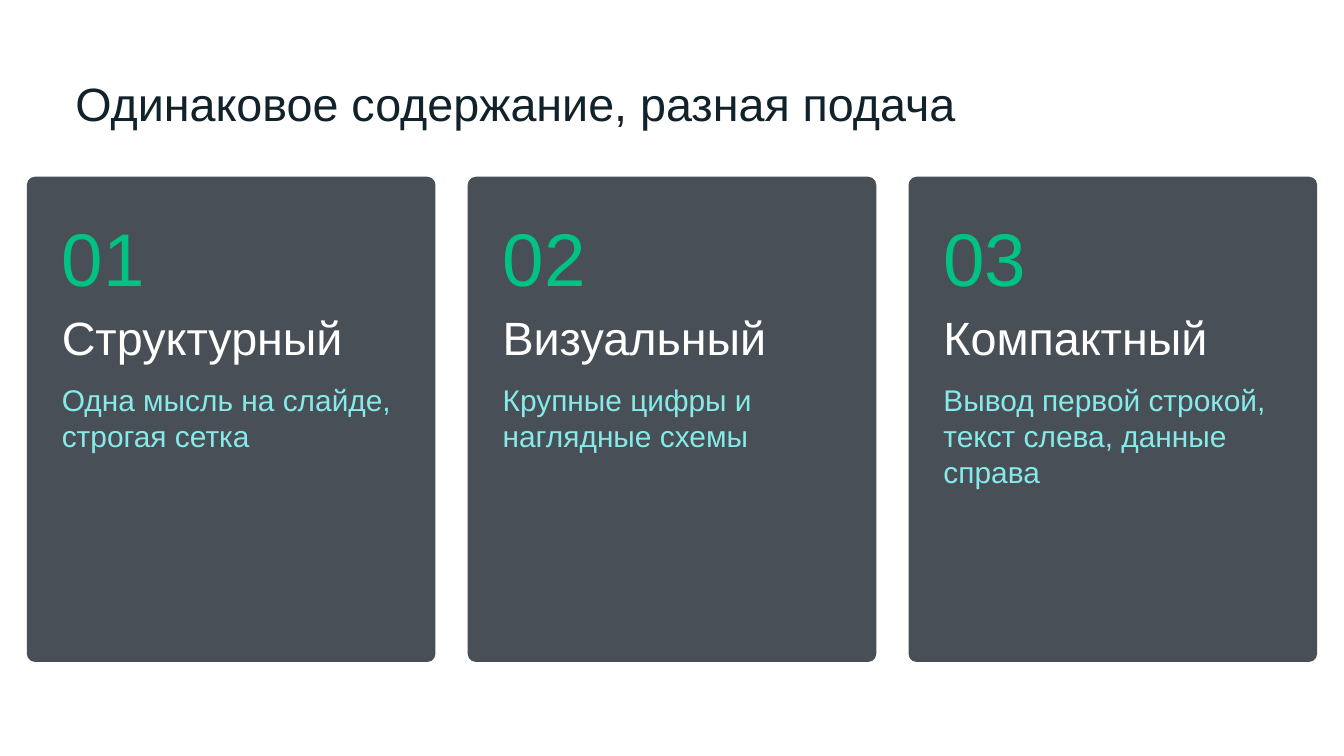
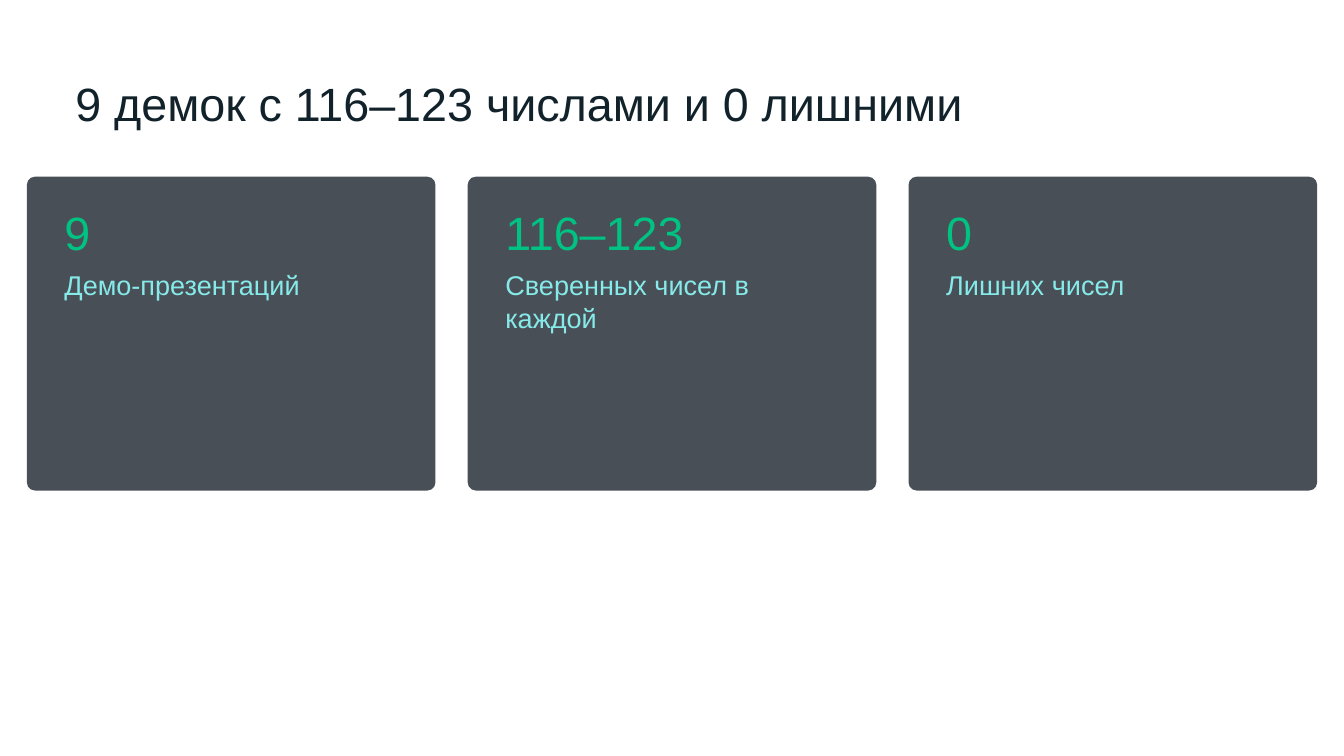
import pptx
import pptx.util
import pptx.dml.color
import pptx.enum.shapes
import pptx.enum.text

Inches = pptx.util.Inches
Pt = pptx.util.Pt
RGBColor = pptx.dml.color.RGBColor
Anchor = pptx.enum.text.MSO_ANCHOR

INK = RGBColor(0x12, 0x22, 0x2B)
SLATE = RGBColor(0x49, 0x4F, 0x56)
GREEN = RGBColor(0x00, 0xC2, 0x82)
AQUA = RGBColor(0x86, 0xEA, 0xE9)
WHITE = RGBColor(0xFF, 0xFF, 0xFF)
FONT = "Arial"

# Grid of three columns, in inches
WIDE, HIGH = 20, 11.25
COLS, EDGE, GAP = 3, 0.4, 0.48
COL = (WIDE - 2 * EDGE - (COLS - 1) * GAP) / COLS
TOP = 2.63
ROUND = 0.12


class Deck:
    """Holds the shared style and the current slide."""

    def __init__(self):
        self.prs = pptx.Presentation()
        self.prs.slide_width = Inches(WIDE)
        self.prs.slide_height = Inches(HIGH)
        self.slide = None

    def left(self, col):
        return EDGE + col * (COL + GAP)

    def frame(self, shape, anchor=Anchor.TOP):
        """Strip the margins of a text frame and return it."""
        text = shape.text_frame
        text.word_wrap = True
        text.auto_size = pptx.enum.text.MSO_AUTO_SIZE.NONE
        text.vertical_anchor = anchor
        text.margin_left = text.margin_right = 0
        text.margin_top = text.margin_bottom = 0
        return text

    def run(self, para, words, size, color):
        para.alignment = pptx.enum.text.PP_ALIGN.LEFT
        run = para.add_run()
        run.text = words
        run.font.name = FONT
        run.font.size = Pt(size)
        run.font.color.rgb = color

    def page(self, title):
        """Start a slide with its title."""
        self.slide = self.prs.slides.add_slide(self.prs.slide_layouts[5])
        head = self.slide.shapes.title
        head.left, head.top = Inches(1.12), Inches(1.14)
        head.width, head.height = Inches(17.2), Inches(0.93)
        para = self.frame(head).paragraphs[0]
        para.line_spacing = Pt(58)
        self.run(para, title, 50, INK)

    def card(self, col, high):
        """Draw a rounded panel that fills one column."""
        card = self.slide.shapes.add_shape(
            pptx.enum.shapes.MSO_SHAPE.ROUNDED_RECTANGLE,
            Inches(self.left(col)), Inches(TOP), Inches(COL), Inches(high))
        card.adjustments[0] = ROUND / min(COL, high)
        card.shadow.inherit = False
        card.fill.solid()
        card.fill.fore_color.rgb = SLATE
        card.line.fill.background()

    def text(self, col, pad, drop, high, lines, after=0, anchor=Anchor.TOP):
        """Put (words, size, color) lines into a column, inset by pad."""
        box = self.slide.shapes.add_textbox(
            Inches(self.left(col) + pad), Inches(TOP + drop),
            Inches(COL - 2 * pad), Inches(high))
        text = self.frame(box, anchor)
        for i, line in enumerate(lines):
            para = text.add_paragraph() if i else text.paragraphs[0]
            if i < len(lines) - 1:
                para.space_after = Pt(after)
            self.run(para, *line)


def main():
    deck = Deck()

    # Three styles of the same content
    deck.page("Одинаковое содержание, разная подача")
    styles = [
        ("Структурный", "Одна мысль на слайде, строгая сетка"),
        ("Визуальный", "Крупные цифры и наглядные схемы"),
        ("Компактный", "Вывод первой строкой, текст слева, данные справа"),
    ]
    for col, (name, note) in enumerate(styles):
        deck.card(col, 7.22)
        deck.text(col, 0.52, 0.52, 1.33, [(f"{col + 1:02}", 79.9, GREEN)])
        deck.text(col, 0.52, 1.97, 4.74,
                  [(name, 50, WHITE), (note, 32, AQUA)], after=17.6)

    # Key figures
    deck.page("9 демок с 116–123 числами и 0 лишними")
    facts = [
        ("9", "Демо-презентаций"),
        ("116–123", "Сверенных чисел в каждой"),
        ("0", "Лишних чисел"),
    ]
    for col, (value, label) in enumerate(facts):
        deck.card(col, 4.67)
        deck.text(col, 0.56, 0.41, 0.83, [(value, 50, GREEN)],
                  anchor=Anchor.BOTTOM)
        deck.text(col, 0.56, 1.37, 2.75, [(label, 29, AQUA)])

    deck.prs.save("out.pptx")


if __name__ == "__main__":
    main()
